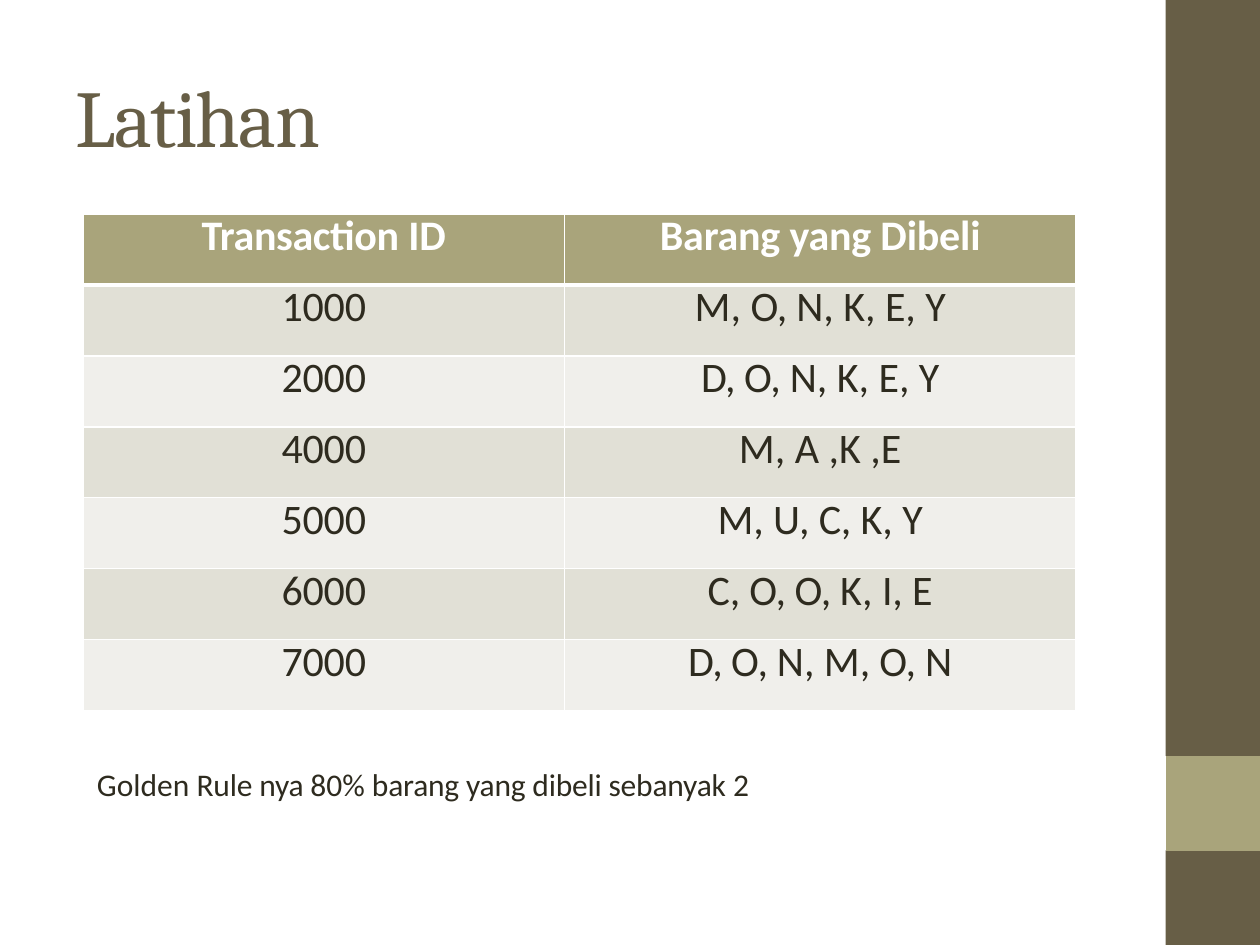
from lxml import etree
from pptx import Presentation
from pptx import util as u
from pptx.dml.color import RGBColor
from pptx.enum import text
from pptx.oxml import ns

HUES = {"dark": "675E46", "sand": "A9A47B", "ink": "2E2B1F",
        "white": "FFFFFF", "odd": "E1E0D6", "even": "F0EFEB"}

HEAD = [[("Transaction ", -0.2), ("ID", 0)], [("Barang yang Dibeli", -0.1)]]
ITEMS = {
    "1000": [("M, ", 0), ("O, ", -0.3), ("N, K, ", 0), ("E, ", -0.1), ("Y", 0)],
    "2000": [("D, O, ", -0.3), ("N, K, ", 0), ("E, ", -0.1), ("Y", 0)],
    "4000": [("M, A ,K ,E", 0)],
    "5000": [("M,", 0), (" U, ", -0.2), ("C, ", -0.1), ("K, Y", 0)],
    "6000": [("C,", 0), (" O, O, ", -0.3), ("K, ", 0), ("I, ", -0.1), ("E", 0)],
    "7000": [("D, O, ", -0.3), ("N, M,", 0), (" O, ", -0.3), ("N", 0)],
}
NOTE = [("Golden ", 0), ("Rule ", -0.1), ("nya ", -0.2), ("80% ", 0),
        ("barang yang dibeli sebanyak ", -0.1), ("2", 0)]


def tint(name):
    return RGBColor.from_string(HUES[name])


def add_runs(para, runs, size, hue, face="Calibri", bold=False):
    for words, gap in runs:
        run = para.add_run()
        run.text = words
        font = run.font
        font.size, font.name, font.bold = u.Pt(size), face, bold
        font.color.rgb = tint(hue)
        run._r.get_or_add_rPr().set("spc", str(round(gap * 100)))


def set_frame(frame, wrap):
    frame.margin_left = frame.margin_right = frame.margin_bottom = 0
    frame.margin_top = u.Inches(0.01)
    frame.word_wrap = wrap
    frame.auto_size = text.MSO_AUTO_SIZE.NONE
    frame.vertical_anchor = text.MSO_ANCHOR.TOP


def add_panel(slide, left, right, spans, hue):
    build = None
    for top, low in spans:
        if build is None:
            build = slide.shapes.build_freeform(
                u.Inches(right), u.Inches(top), scale=1.0)
        else:
            build.move_to(u.Inches(right), u.Inches(top))
        ends = [(left, top), (left, low), (right, low)]
        build.add_line_segments(
            [(u.Inches(x), u.Inches(y)) for x, y in ends], close=True)
    shape = build.convert_to_shape()
    shape.shadow.inherit = False
    shape.fill.solid()
    shape.fill.fore_color.rgb = tint(hue)
    shape.line.fill.background()


def add_side(slide, left, top, width, height):
    right, low = left + width, top + height
    band = low - 2 * width
    add_panel(slide, left, right, [(low - width, low), (top, band)], "dark")
    add_panel(slide, left, right, [(band, low - width)], "sand")


def add_title(slide, left, top, width, height):
    title = slide.shapes.title
    title.left, title.top = u.Inches(left), u.Inches(top)
    title.width, title.height = u.Inches(width), u.Inches(height)
    set_frame(title.text_frame, False)
    para = title.text_frame.paragraphs[0]
    para.alignment = text.PP_ALIGN.LEFT
    add_runs(para, [("Latihan", -0.9)], 46, "dark", "Cambria")


def add_edge(cell, side, width):
    props = cell._tc.get_or_add_tcPr()
    line = etree.SubElement(props, ns.qn(f"a:ln{side}"), w=str(u.Pt(width)))
    fill = etree.SubElement(line, ns.qn("a:solidFill"))
    etree.SubElement(fill, ns.qn("a:srgbClr"), val=HUES["white"])


def fill_cell(cell, runs, row):
    head = row == 0
    cell.margin_left = cell.margin_right = 0
    cell.margin_top = cell.margin_bottom = 0
    thick = {"T": 3 if row == 1 else 1, "B": 3 if head else 1}
    for side in "LRTB":
        add_edge(cell, side, thick.get(side, 1))
    cell.fill.solid()
    cell.fill.fore_color.rgb = tint(
        "sand" if head else "odd" if row % 2 else "even")
    para = cell.text_frame.paragraphs[0]
    para.alignment = text.PP_ALIGN.CENTER
    para.line_spacing = u.Pt(27.4)
    add_runs(para, runs, 24, "white" if head else "ink", bold=head)


def add_grid(slide, left, top, width, height):
    rows = [HEAD] + [[[(code, -0.1)], goods] for code, goods in ITEMS.items()]
    table = slide.shapes.add_table(
        len(rows), 2, u.Inches(left), u.Inches(top),
        u.Inches(width), u.Inches(height)).table
    first = 3.82
    table.columns[0].width = u.Inches(first)
    table.columns[1].width = u.Inches(width - first)
    for r, row in enumerate(rows):
        for c, runs in enumerate(row):
            fill_cell(table.cell(r, c), runs, r)


def add_note(slide, left, top, width, height):
    box = slide.shapes.add_textbox(
        u.Inches(left), u.Inches(top), u.Inches(width), u.Inches(height))
    set_frame(box.text_frame, True)
    add_runs(box.text_frame.paragraphs[0], NOTE, 18, "ink")


def main():
    deck = Presentation()
    deck.slide_width, deck.slide_height = u.Inches(10), u.Inches(7.5)
    slide = deck.slides.add_slide(deck.slide_layouts[5])
    add_side(slide, 9.25, 0, 0.75, 7.5)
    add_title(slide, 0.6, 0.52, 2.02, 0.79)
    add_grid(slide, 0.66, 1.7, 7.88, 3.94)
    add_note(slide, 0.77, 6.06, 5.4, 0.33)
    deck.save("out.pptx")


if __name__ == "__main__":
    main()
